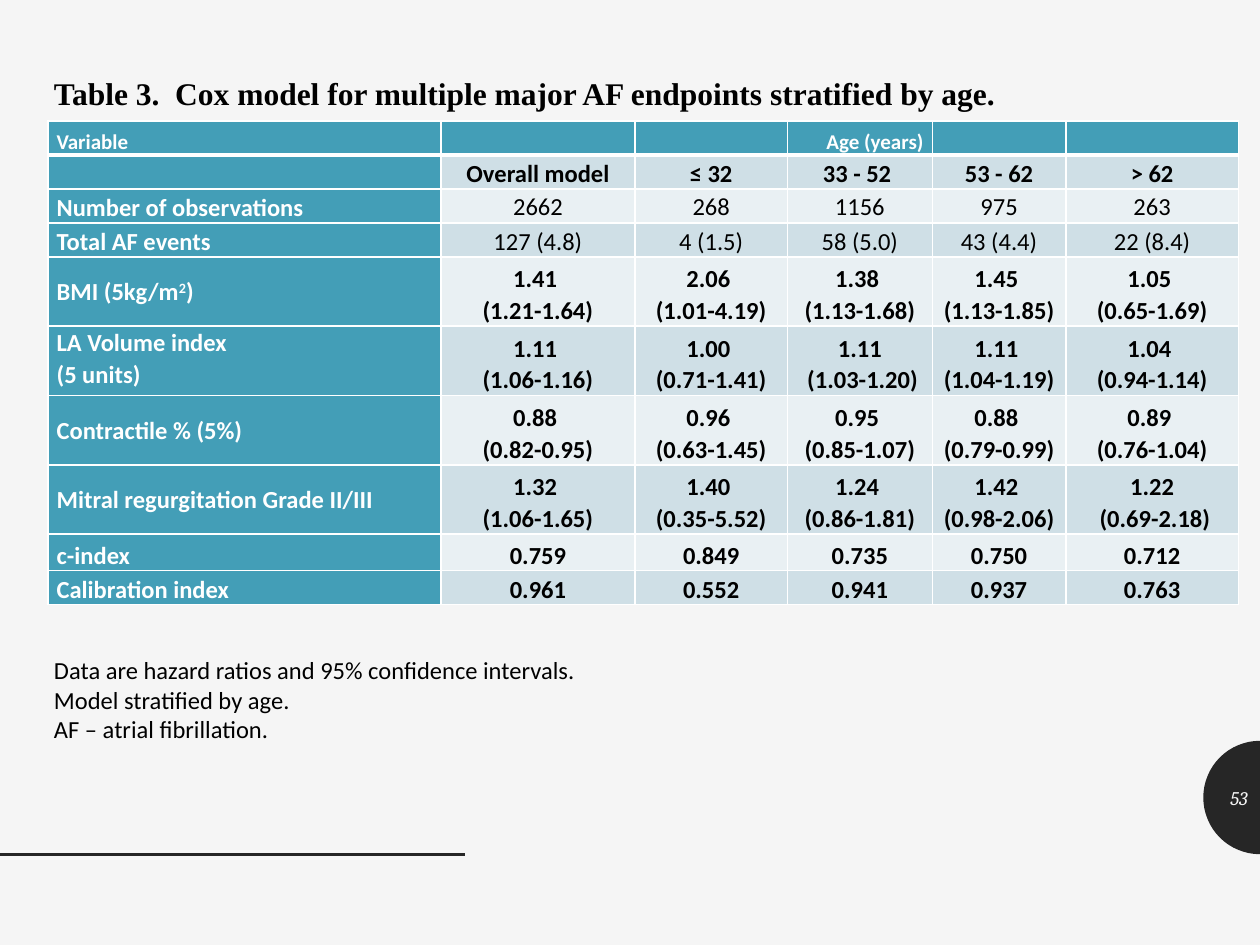
from math import cos, pi, sin

from lxml.etree import SubElement
from pptx import Presentation
from pptx.dml.color import RGBColor
from pptx.enum.shapes import MSO_CONNECTOR
from pptx.enum.text import MSO_ANCHOR, PP_ALIGN
from pptx.oxml.ns import qn
from pptx.util import Inches, Pt

COLORS = {
    "background": "F5F5F5", "dark": "262626", "teal": "439EB7",
    "band_dark": "CFDFE6", "band_light": "E9F0F3",
    "white": "FFFFFF", "black": "000000",
}
COLUMNS = [3.12, 1.54, 1.21, 1.15, 1.06, 1.37]
HEIGHTS = [0.27] * 4 + [0.55] * 4 + [0.29, 0.27]
ROWS = [
    ["Variable", "", "", "Age (years)", "", ""],
    ["", "Overall model", "≤ 32", "33 - 52 ", "53 - 62", "> 62"],
    ["Number of observations", "2662", "268", "1156", "975", "263"],
    ["Total AF events", "127 (4.8)", "4 (1.5)", "58 (5.0)", "43 (4.4)", "22 (8.4)"],
    ["BMI (5kg/m^2^)", "1.41 \n(1.21-1.64)", "2.06 \n(1.01-4.19)",
     "1.38 \n(1.13-1.68)", "1.45 \n(1.13-1.85)", "1.05 \n(0.65-1.69)"],
    ["LA Volume index \n(5 units)", "1.11 \n(1.06-1.16)", "1.00 \n(0.71-1.41)",
     "1.11\n (1.03-1.20)", "1.11 \n(1.04-1.19)", "1.04 \n(0.94-1.14)"],
    ["Contractile % (5%)", "0.88 \n(0.82-0.95)", "0.96 \n(0.63-1.45)",
     "0.95 \n(0.85-1.07)", "0.88 \n(0.79-0.99)", "0.89 \n(0.76-1.04)"],
    ["Mitral regurgitation Grade II/III", "1.32 \n(1.06-1.65)", "1.40 \n(0.35-5.52)",
     "1.24 \n(0.86-1.81)", "1.42 \n(0.98-2.06)", "1.22\n (0.69-2.18)"],
    ["c-index", "0.759", "0.849", "0.735", "0.750", "0.712"],
    ["Calibration index", "0.961", "0.552", "0.941", "0.937", "0.763"],
]
PLAIN_ROWS = (2, 3)
LABEL_ANCHORS = {4: MSO_ANCHOR.MIDDLE, 5: MSO_ANCHOR.TOP,
                 6: MSO_ANCHOR.MIDDLE, 7: MSO_ANCHOR.MIDDLE}


def rgb(name):
    """Return the named colour."""
    return RGBColor.from_string(COLORS[name])


def apply(obj, values):
    """Set each named attribute on an object."""
    for name, value in values.items():
        setattr(obj, name, value)


def add_run(p, text, color, **font):
    """Append a formatted run to a paragraph."""
    r = p.add_run()
    r.text = text
    apply(r.font, font)
    r.font.color.rgb = rgb(color)
    return r


def add_text(s, box, lines, color, font, frame, align=PP_ALIGN.LEFT):
    """Add a text box with one paragraph per line."""
    tf = s.shapes.add_textbox(*map(Inches, box)).text_frame
    apply(tf, frame)
    for i, line in enumerate(lines):
        p = tf.paragraphs[0] if i == 0 else tf.add_paragraph()
        p.alignment = align
        add_run(p, line, color, **font)


def add_borders(cell, widths):
    """Draw white borders of the given widths around a cell."""
    for side, width in widths.items():
        ln = SubElement(cell._tc.get_or_add_tcPr(), qn(f"a:ln{side}"), w=str(Pt(width)))
        fill = SubElement(ln, qn("a:solidFill"))
        SubElement(fill, qn("a:srgbClr"), val=COLORS["white"])


def fill_cell(cell, text, row, col):
    """Style and write one table cell."""
    head, label = row == 0, col == 0
    add_borders(cell, {"L": 1, "R": 1, "T": 3 if row == 1 else 1, "B": 3 if head else 1})
    band = "band_dark" if row % 2 else "band_light"
    cell.fill.solid()
    cell.fill.fore_color.rgb = rgb("teal" if head or label else band)
    anchor = MSO_ANCHOR.MIDDLE if row == 2 and not label else MSO_ANCHOR.BOTTOM
    apply(cell, {
        "margin_left": Inches(0.07), "margin_right": Inches(0.07),
        "margin_top": 0, "margin_bottom": 0,
        "vertical_anchor": LABEL_ANCHORS.get(row, anchor) if label else anchor,
    })
    p = cell.text_frame.paragraphs[0]
    p.line_spacing = 1.07
    if not label:
        p.alignment = PP_ALIGN.RIGHT if head else PP_ALIGN.CENTER
    size = Pt(12 if head else 14)
    if not text:
        p._p.get_or_add_endParaRPr().set("sz", "1200")
        return
    font = {"name": "Calibri", "size": size, "bold": label or row not in PLAIN_ROWS}
    color = "white" if head or label else "black"
    for i, line in enumerate(text.split("\n")):
        if i:
            p.add_line_break()
        for j, part in enumerate(line.split("^")):
            r = add_run(p, part, color, **font)
            if j == 1:
                r.font._element.set("baseline", "30000")


def add_cox_table(s):
    """Add the table of hazard ratios."""
    table = s.shapes.add_table(
        len(ROWS), len(COLUMNS), Inches(0.38), Inches(0.96),
        Inches(sum(COLUMNS)), Inches(sum(HEIGHTS))).table
    for column, width in zip(table.columns, COLUMNS):
        column.width = Inches(width)
    for row, height in zip(table.rows, HEIGHTS):
        row.height = Inches(height)
    for i, texts in enumerate(ROWS):
        for j, text in enumerate(texts):
            fill_cell(table.cell(i, j), text, i, j)


def add_half_disc(s, cx, cy, radius, steps=32):
    """Add the half disc that opens to the slide's right edge."""
    angles = [pi / 2 + pi * i / steps for i in range(steps + 1)]
    points = [(Inches(cx + radius * cos(a)), Inches(cy - radius * sin(a))) for a in angles]
    builder = s.shapes.build_freeform(*points[0])
    builder.add_line_segments(points[1:], close=True)
    sp = builder.convert_to_shape()
    sp.shadow.inherit = False
    sp.fill.solid()
    sp.fill.fore_color.rgb = rgb("dark")
    sp.line.fill.background()


def add_rule(s, x1, x2, y):
    """Add a dark horizontal line."""
    line = s.shapes.add_connector(MSO_CONNECTOR.STRAIGHT, *map(Inches, (x1, y, x2, y)))
    line.line.color.rgb = rgb("dark")
    line.line.width = Pt(2)
    SubElement(line._element.spPr, qn("a:effectLst"))


def main():
    """Build and save the slide."""
    prs = Presentation()
    prs.slide_width, prs.slide_height = Inches(10), Inches(7.5)
    s = prs.slides.add_slide(prs.slide_layouts[6])
    s.background.fill.solid()
    s.background.fill.fore_color.rgb = rgb("background")
    add_half_disc(s, 10, 6.33, 0.45)
    add_rule(s, 0, 3.69, 6.78)
    add_cox_table(s)
    add_text(s, (0.33, 0.54, 7.75, 0.4),
             ["Table 3.  Cox model for multiple major AF endpoints stratified by age."],
             "black", {"name": "Times New Roman", "size": Pt(18), "bold": True},
             {"word_wrap": False, "vertical_anchor": MSO_ANCHOR.MIDDLE})
    add_text(s, (0.33, 5.15, 4.58, 1.11),
             ["Data are hazard ratios and 95% confidence intervals.",
              "Model stratified by age.", "AF – atrial fibrillation."],
             "black", {"name": "Calibri", "size": Pt(14)}, {"word_wrap": True})
    add_text(s, (9.55, 6.13, 0.45, 0.4), ["53"], "background",
             {"name": "Cambria", "size": Pt(11), "italic": True},
             {"word_wrap": True, "vertical_anchor": MSO_ANCHOR.MIDDLE}, PP_ALIGN.RIGHT)
    prs.save("out.pptx")


if __name__ == "__main__":
    main()
